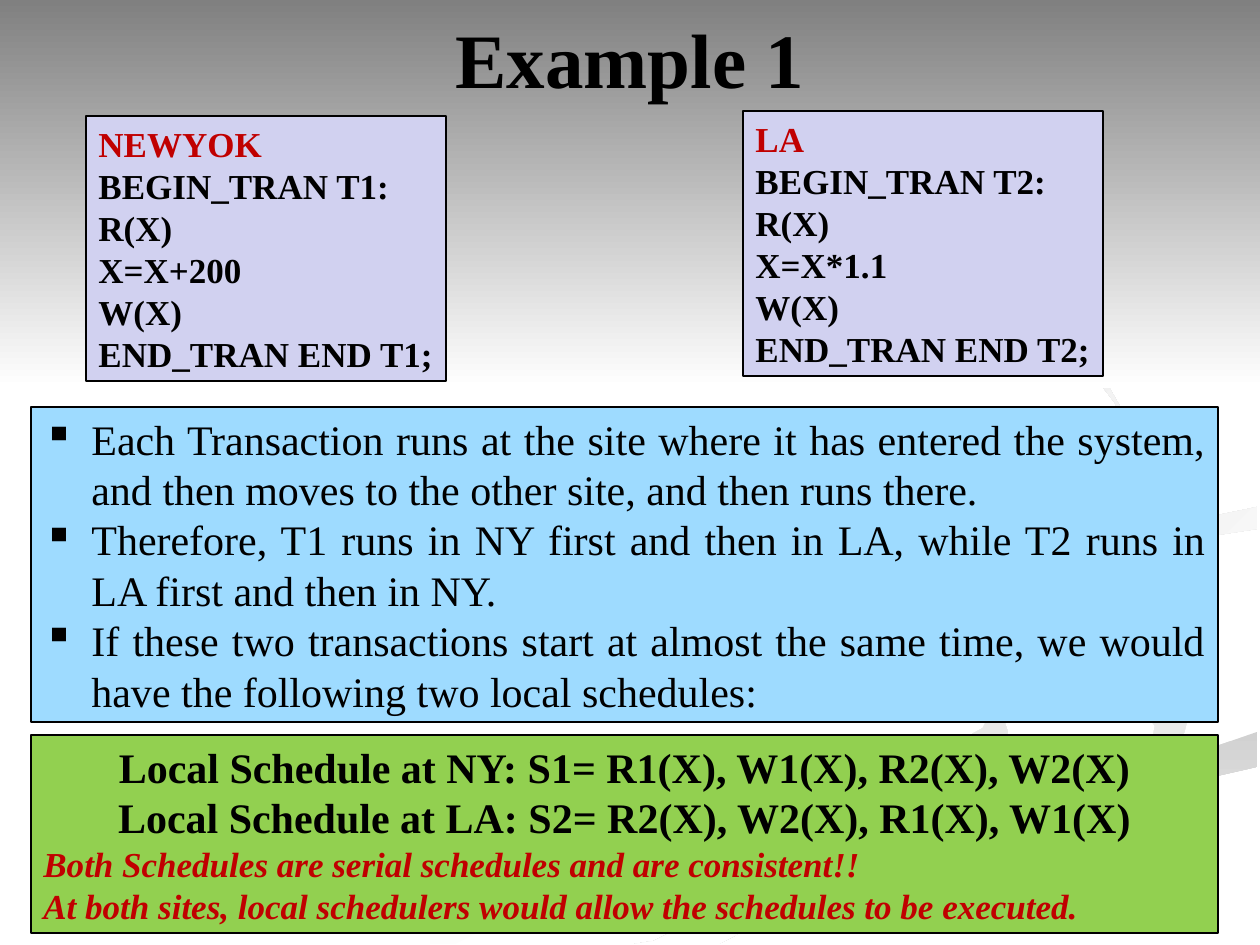
from lxml.etree import SubElement
from pptx import Presentation
from pptx.dml.color import RGBColor
from pptx.enum.shapes import MSO_SHAPE
from pptx.enum.text import MSO_ANCHOR, PP_ALIGN
from pptx.oxml.ns import qn
from pptx.util import Pt

SCALE = 914400 / 126  # EMU in one px
WIDTH, HEIGHT = 1260, 945
FONT = "Times New Roman"
COLORS = {
    "black": "000000", "red": "C00000", "white": "FFFFFF", "lavender": "D1D1F0",
    "sky": "9EDBFF", "green": "92D050", "gray": "808080",
    "silver": "D1D1D1", "mist": "D8D8D8", "pearl": "E0E0E0", "pale": "E8E8E8",
}

# Content
TITLE = "Example 1"
TITLE_BOX = (63, -21, 1134, 157)
TRANSACTIONS = [  # site, transaction, update, box
    ("NEWYOK", "T1", "X=X+200", (86, 116, 360, 265)),
    ("LA", "T2", "X=X*1.1", (743, 111, 360, 265)),
]
EXPLANATION_BOX = (31, 407, 1187, 315)
EXPLANATION = [
    "Each Transaction runs at the site where it has entered the system, "
    "and then moves to the other site, and then runs there.",
    "Therefore, T1 runs in NY first and then in LA, while T2 runs in LA first and then in NY.",
    "If these two transactions start at almost the same time, "
    "we would have the following two local schedules:",
]
SCHEDULE_BOX = (31, 735, 1187, 198)
SCHEDULES = [
    "Local Schedule at NY: S1= R1(X), W1(X), R2(X), W2(X)",
    "Local Schedule at LA: S2= R2(X), W2(X), R1(X), W1(X)",
]
REMARKS = [
    "Both Schedules are serial schedules and are consistent!!",
    "At both sites, local schedulers would allow the schedules to be executed.",
]

# Background ribbons: first colour, last colour, clockwise angle, outline
RIBBONS = [
    ("white", "pale", 0, [
        (724, 578), (718, 595), (738, 609), (795, 636), (898, 669), (970, 693), (987, 704),
        (990, 713), (983, 728), (956, 743), (900, 763), (822, 781), (679, 818), (525, 869),
        (426, 916), (378, 944), (455, 944), (543, 900), (629, 866), (711, 838), (785, 815),
        (881, 791), (953, 774), (990, 757), (1004, 741), (1008, 732), (1002, 714),
        (984, 697), (937, 676), (859, 654), (789, 632), (740, 606)]),
    ("white", "pale", 45, [
        (1188, 718), (1183, 708), (1158, 689), (1119, 674), (1046, 654), (975, 634),
        (924, 609), (912, 585), (912, 597), (921, 612), (951, 638), (1004, 660),
        (1056, 675), (1109, 692), (1143, 708), (1155, 726), (1152, 742), (1126, 762),
        (1167, 748), (1184, 733)]),
    ("silver", "white", 90, [
        (634, 944), (719, 944), (774, 915), (876, 872), (989, 833), (1138, 794),
        (1257, 767), (1257, 732), (1179, 759), (1047, 793), (877, 843), (755, 890),
        (654, 941)]),
    ("pearl", "white", 45, [
        (984, 580), (985, 595), (1004, 609), (1041, 625), (1020, 609), (1014, 595),
        (1023, 582), (1062, 564), (1106, 553), (1179, 541), (1257, 529), (1257, 507),
        (1218, 515), (1131, 527), (1052, 538), (1007, 551), (989, 571)]),
    ("mist", "white", 45, [
        (861, 542), (963, 525), (1040, 507), (1092, 484), (1120, 456), (1126, 433),
        (1121, 408), (1109, 387), (1076, 357), (1034, 329), (960, 294), (1014, 320),
        (1066, 352), (1095, 377), (1115, 403), (1120, 422), (1111, 446), (1085, 466),
        (1046, 482), (961, 501), (852, 522), (775, 541), (736, 562), (727, 582),
        (736, 604), (784, 630), (757, 605), (747, 586), (757, 575), (786, 559),
        (817, 549)]),
]
TOP_BAND = (0, 0, WIDTH, 388)


def px(value):
    return round(value * SCALE)


def color(name):
    return RGBColor.from_string(COLORS[name])


def fill_gradient(shape, first, last, angle):
    shape.shadow.inherit = False
    shape.line.fill.background()
    shape.fill.gradient()
    shape.fill.gradient_angle = (360 - angle) % 360
    for stop, name in zip(shape.fill.gradient_stops, (first, last)):
        stop.color.rgb = color(name)


def set_font(paragraph, size, name="black", bold=False, italic=False):
    font = paragraph.font
    font.name, font.size, font.bold, font.italic = FONT, Pt(size), bold, italic
    font.color.rgb = color(name)


def add_bullet(paragraph):
    properties = paragraph._p.get_or_add_pPr()
    properties.set("marL", str(px(48)))
    properties.set("indent", str(px(-48)))
    bullet_color = SubElement(properties, qn("a:buClr"))
    SubElement(bullet_color, qn("a:srgbClr")).set("val", COLORS["black"])
    SubElement(properties, qn("a:buChar")).set("char", "▪")


def add_box(slide, box, fill, lines, wrap=True):
    """Each line is text, alignment, bulleted, font options."""
    shape = slide.shapes.add_shape(MSO_SHAPE.RECTANGLE, *map(px, box))
    shape.shadow.inherit = False
    shape.fill.solid()
    shape.fill.fore_color.rgb = color(fill)
    shape.line.color.rgb = color("black")
    shape.line.width = Pt(0.75)
    frame = shape.text_frame
    frame.word_wrap = wrap
    frame.vertical_anchor = MSO_ANCHOR.TOP
    for index, (text, alignment, bulleted, options) in enumerate(lines):
        paragraph = frame.add_paragraph() if index else frame.paragraphs[0]
        paragraph.text = text
        paragraph.alignment = alignment
        if bulleted:
            add_bullet(paragraph)
        set_font(paragraph, **options)


def main():
    presentation = Presentation()
    presentation.slide_width, presentation.slide_height = px(WIDTH), px(HEIGHT)
    slide = presentation.slides.add_slide(presentation.slide_layouts[5])

    # Background
    for first, last, angle, points in RIBBONS:
        builder = slide.shapes.build_freeform(*points[0], scale=SCALE)
        builder.add_line_segments(points[1:], close=True)
        fill_gradient(builder.convert_to_shape(), first, last, angle)
    band = slide.shapes.add_shape(MSO_SHAPE.RECTANGLE, *map(px, TOP_BAND))
    fill_gradient(band, "gray", "white", 90)

    # Title, raised above the background
    title = slide.shapes.title
    slide.shapes._spTree.append(title._element)
    title.left, title.top, title.width, title.height = map(px, TITLE_BOX)
    title.text_frame.text = TITLE
    title.text_frame.vertical_anchor = MSO_ANCHOR.MIDDLE
    title.text_frame.paragraphs[0].alignment = PP_ALIGN.CENTER
    set_font(title.text_frame.paragraphs[0], 44, bold=True)

    # Transactions
    for site, name, update, box in TRANSACTIONS:
        code = [f"BEGIN_TRAN {name}:", "R(X)", update, "W(X)", f"END_TRAN END {name};"]
        lines = [(site, PP_ALIGN.LEFT, False, dict(size=20, name="red", bold=True))]
        lines += [(text, PP_ALIGN.LEFT, False, dict(size=20, bold=True)) for text in code]
        add_box(slide, box, "lavender", lines, wrap=False)

    # Explanation
    add_box(slide, EXPLANATION_BOX, "sky",
            [(text, PP_ALIGN.JUSTIFY, True, dict(size=24)) for text in EXPLANATION])

    # Local schedules
    remark_font = dict(size=20, name="red", bold=True, italic=True)
    add_box(slide, SCHEDULE_BOX, "green",
            [(text, PP_ALIGN.CENTER, False, dict(size=24, bold=True)) for text in SCHEDULES]
            + [(text, PP_ALIGN.JUSTIFY, False, remark_font) for text in REMARKS])

    presentation.save("out.pptx")


if __name__ == "__main__":
    main()
